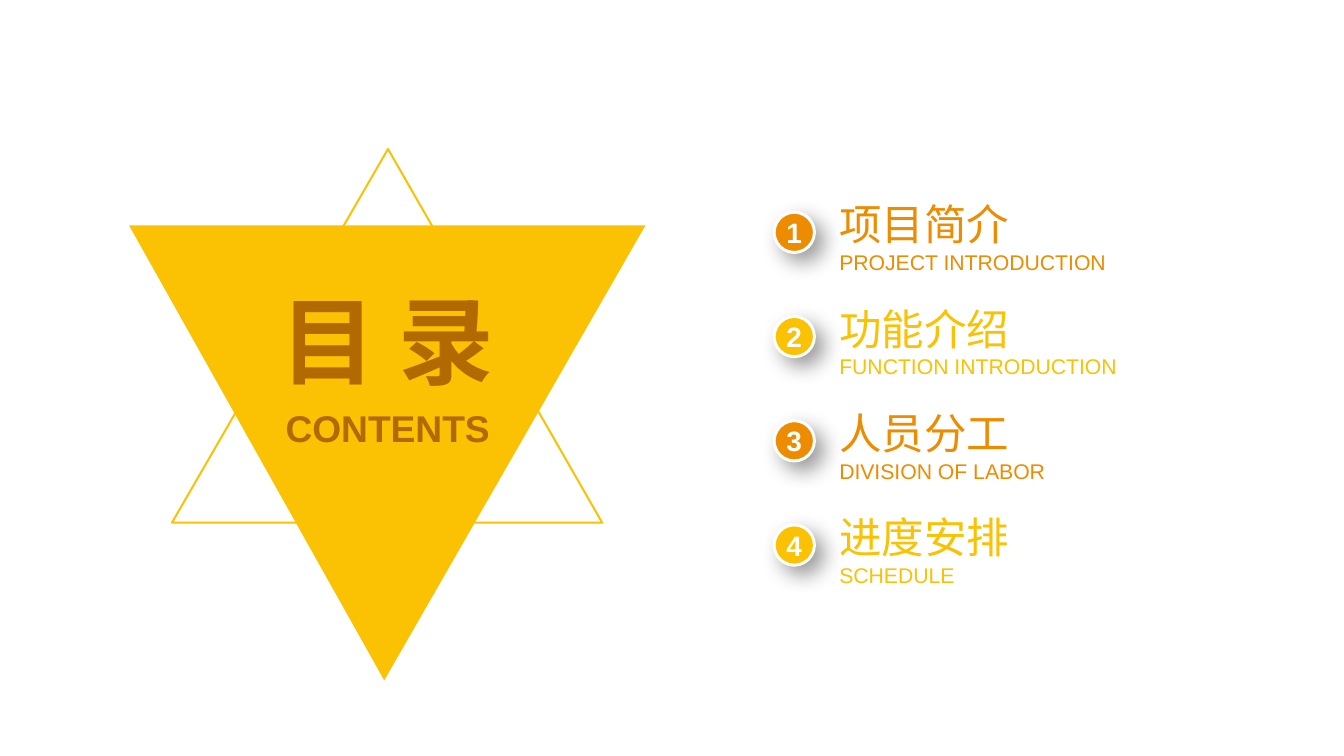
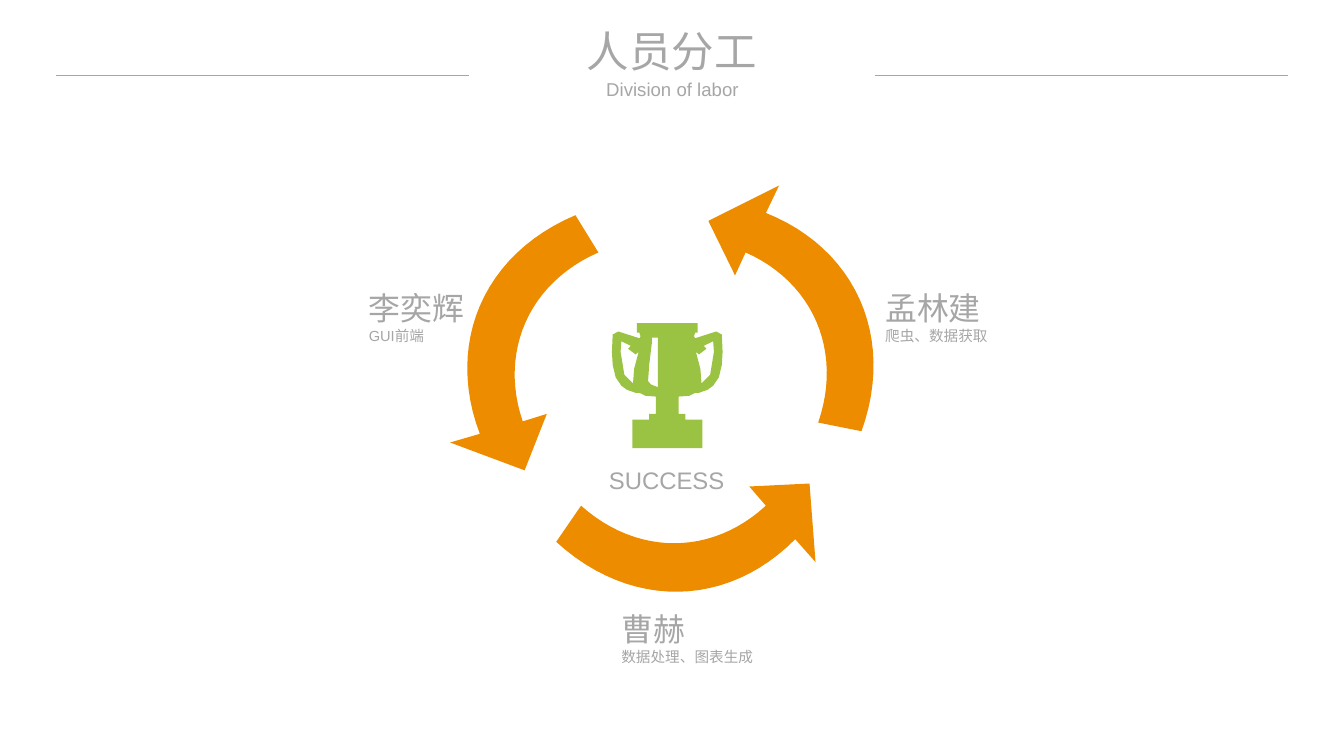
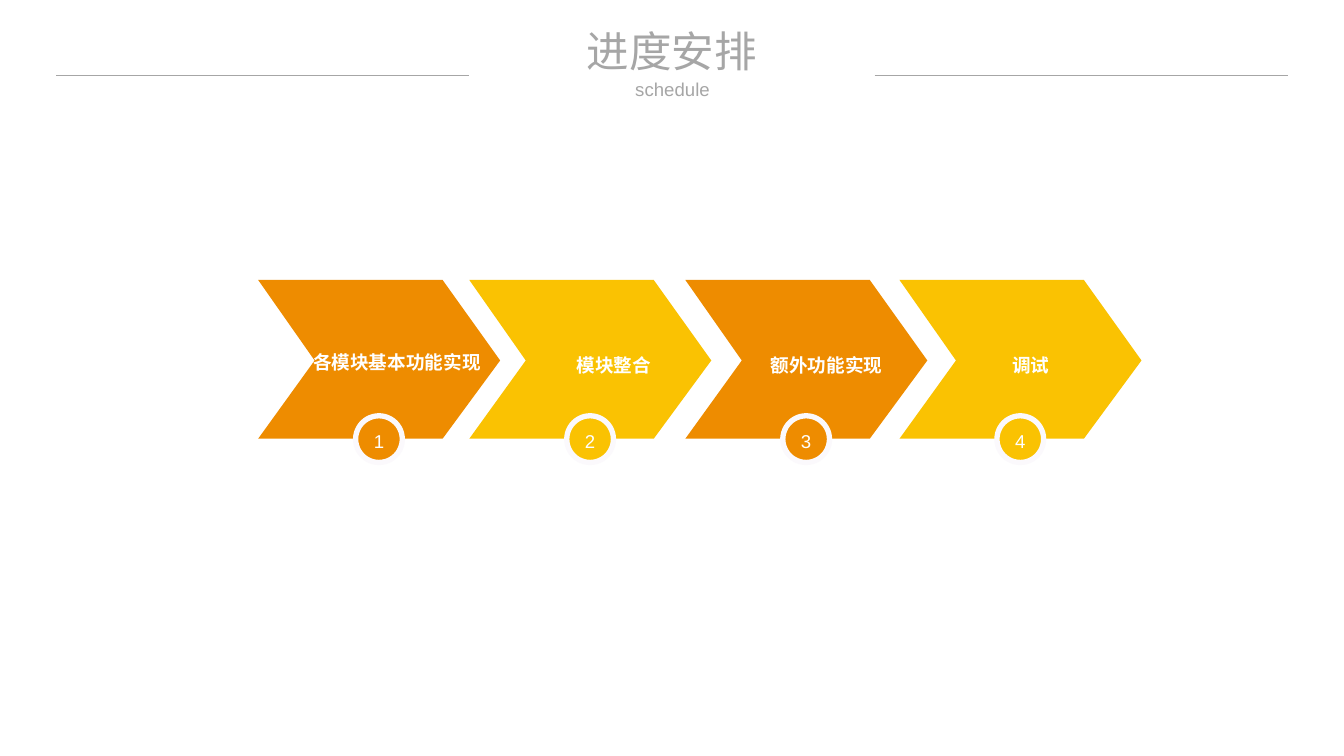
from lxml import etree
from pptx import Presentation
from pptx.dml.color import RGBColor
from pptx.enum.shapes import MSO_CONNECTOR as LINK, MSO_SHAPE as FORM
from pptx.enum.text import MSO_ANCHOR as ANCHOR, PP_ALIGN as ALIGN
from pptx.oxml.ns import qn
from pptx.util import Cm, Pt

hue = RGBColor.from_string
ORANGE, YELLOW, BROWN = "EE8C00", "FAC202", "B26900"
GREEN, GREY, WHITE, PALE = "9AC343", "A6A6A6", "FFFFFF", "FBF9FC"
TONES = [ORANGE, YELLOW] * 2


def write(slide, text, box=None, frame=None, sizes=(14,), color=GREY, bold=False,
          align=ALIGN.CENTER, anchor=ANCHOR.MIDDLE, pad=(0, 0), space=1.0):
    """Fill a given frame, or a new text box, with one size for each line."""
    if frame is None:
        frame = slide.shapes.add_textbox(*map(Cm, box)).text_frame
    frame.word_wrap = True
    frame.vertical_anchor = anchor
    frame.margin_left = frame.margin_right = Cm(pad[0])
    frame.margin_top = frame.margin_bottom = Cm(pad[1])
    for i, (line, size) in enumerate(zip(text.split("\n"), sizes)):
        para = frame.add_paragraph() if i else frame.paragraphs[0]
        para.alignment = align
        para.line_spacing = space
        run = para.add_run()
        run.text = line
        font = run.font
        font.name, font.size, font.bold = "Arial", Pt(size), bold
        font.color.rgb = hue(color)


def draw(slide, *rings, disc=None, fill=None, line=None, width=1):
    """Draw a disc (left, top, size), or an outline of closed rings of points."""
    if disc:
        x, y, size = map(Cm, disc)
        shape = slide.shapes.add_shape(FORM.OVAL, x, y, size, size)
    else:
        rings = [[(Cm(x), Cm(y)) for x, y in ring] for ring in rings]
        pen = slide.shapes.build_freeform(*rings[0][0])
        pen.add_line_segments(rings[0][1:])
        for ring in rings[1:]:
            pen.move_to(*ring[0])
            pen.add_line_segments(ring[1:])
        shape = pen.convert_to_shape()
    shape.shadow.inherit = False
    if fill:
        shape.fill.solid()
        shape.fill.fore_color.rgb = hue(fill)
    else:
        shape.fill.background()
    if line:
        shape.line.color.rgb = hue(line)
        shape.line.width = Pt(width)
    else:
        shape.line.fill.background()
    return shape


deck = Presentation()
deck.slide_width, deck.slide_height = Cm(35.71), Cm(20.09)
menu, team, plan = [deck.slides.add_slide(deck.slide_layouts[6]) for _ in range(3)]

# Shared header
for slide, title, sub in [(team, "人员分工", "Division of labor"),
                          (plan, "进度安排", "schedule")]:
    write(slide, title, (12.37, 0.66, 10.97, 1.37), sizes=[32])
    write(slide, sub, (13.97, 2.06, 7.8, 0.61))
    for left in (1.5, 23.24):
        rule = slide.shapes.add_connector(
            LINK.STRAIGHT, Cm(left), Cm(2), Cm(left + 10.97), Cm(2))
        rule.line.color.rgb = hue(GREY)
        rule.line.width = Pt(1)
        etree.SubElement(rule.element.spPr, qn("a:effectLst"))

# Contents
draw(menu, [(3.43, 5.99), (17.15, 5.99), (10.21, 18.08)], fill=YELLOW)
draw(menu, [(10.31, 3.96), (16, 13.89), (4.57, 13.89)], line=YELLOW, width=1.5)
write(menu, "目 录", (6.65, 7.49, 7.29, 3.07), sizes=[72], color=BROWN, bold=True)
write(menu, "CONTENTS", (7.06, 10.77, 6.48, 1.19), sizes=[28], color=BROWN,
      bold=True, anchor=ANCHOR.TOP)
parts = ["项目简介\nPROJECT INTRODUCTION", "功能介绍\nFUNCTION INTRODUCTION",
         "人员分工\nDIVISION OF LABOR", "进度安排\nSCHEDULE"]
for i, (part, tone) in enumerate(zip(parts, TONES)):
    drop = 2.77 * i
    dot = draw(menu, disc=(20.57, 5.64 + drop, 1.07), fill=tone, line=WHITE, width=2.25)
    write(menu, str(i + 1), frame=dot.text_frame, sizes=[21.1], color=WHITE, bold=True)
    glow = etree.SubElement(
        dot.element.spPr.find(qn("a:effectLst")), qn("a:outerShdw"),
        blurRad=str(Pt(16)), dist=str(Pt(9)), dir="2700000", algn="tl", rotWithShape="0")
    shade = etree.SubElement(glow, qn("a:srgbClr"), val="000000")
    etree.SubElement(shade, qn("a:alpha"), val="40000")
    write(menu, part, (22.3, 5.26 + drop, 8, 2.06), sizes=(32, 16), color=tone,
          align=ALIGN.LEFT)

# Division of labor: outer curve, inner curve, arrow head
arrows = [
    ([(20.35, 5.66), (22.71, 6.6), (23.8, 8.94), (22.89, 11.46)],
     [(21.74, 11.23), (22.4, 9.32), (21.59, 7.49), (19.81, 6.71)],
     [(19.53, 7.32), (18.82, 5.87), (20.7, 4.93)]),
    ([(12.75, 11.53), (11.84, 9.14), (12.83, 6.76), (15.29, 5.72)],
     [(15.9, 6.71), (14.05, 7.52), (13.26, 9.35), (13.89, 11.2)],
     [(14.53, 11), (13.94, 12.5), (11.96, 11.76)]),
    ([(21.13, 14.33), (19.33, 16.15), (16.76, 16.21), (14.78, 14.4)],
     [(15.44, 13.44), (16.94, 14.78), (18.92, 14.76), (20.35, 13.44)],
     [(19.91, 12.93), (21.51, 12.85), (21.67, 14.94)]),
]
STEPS = 24
for outer, inner, head in arrows:
    ring = []
    for curve in (outer, inner):
        for t in (n / STEPS for n in range(STEPS + 1)):
            u = 1 - t
            weights = (u ** 3, 3 * u * u * t, 3 * u * t * t, t ** 3)
            ring.append([sum(w * v for w, v in zip(weights, axis))
                         for axis in zip(*curve)])
    draw(team, ring + head, fill=ORANGE)

# Trophy: right half, handle hole and shine, measured from the middle line
MID = 17.73
half = [(0.81, 8.59), (0.81, 8.84), (0.74, 8.84), (0.71, 8.94), (0.74, 8.99),
        (1.3, 8.81), (1.45, 8.89), (1.47, 9.35), (1.45, 9.7), (1.37, 10.03),
        (1.22, 10.25), (1.07, 10.36), (0.84, 10.44), (0.74, 10.44), (0.58, 10.52),
        (0.3, 10.54), (0.3, 11), (0.48, 11), (0.48, 11.15), (0.93, 11.15),
        (0.93, 11.91)]
hole = [(0.91, 10.19), (0.88, 9.8), (0.76, 9.35), (0.84, 9.42), (1.04, 9.27),
        (0.97, 9.19), (1.22, 9.07), (1.24, 9.35), (1.14, 9.96)]
shine = [(-0.25, 8.97), (-0.25, 10.29), (-0.43, 10.22), (-0.51, 10.13),
         (-0.48, 9.7), (-0.41, 9.12), (-0.41, 8.97)]
cup = half + [(-x, y) for x, y in reversed(half)]
rings = [cup, hole, [(-x, y) for x, y in hole], shine]
draw(team, *[[(MID + x, y) for x, y in ring] for ring in rings], fill=GREEN)

label = dict(align=ALIGN.LEFT, anchor=ANCHOR.TOP, pad=(0.25, 0.13), space=1.2)
write(team, "SUCCESS", (15.93, 12.09, 3.8, 1.09), sizes=[18], **label)
for name, task, x, y in [("李奕辉", "GUI前端", 9.55, 7.34),
                         ("曹赫", "数据处理、图表生成", 16.26, 15.88),
                         ("孟林建", "爬虫、数据获取", 23.27, 7.34)]:
    write(team, name, (x, y, 6.7, 1.37), sizes=[24], **label)
    write(team, task, (x, y + 1.12, 6.7, 0.76), sizes=[11], **label)

# Schedule: chevron left, then left and top of its text
stages = [("各模块基本功能实现", 6.86, 8.25, 9.25), ("模块整合", 12.47, 14.01, 9.32),
          ("额外功能实现", 18.21, 19.66, 9.32), ("调试", 23.9, 25.09, 9.32)]
edge = [(0, 7.44), (1.5, 9.58), (0, 11.66), (4.9, 11.66), (6.43, 9.58), (4.9, 7.44)]
for i, ((stage, left, x, y), tone) in enumerate(zip(stages, TONES), 1):
    draw(plan, [(left + dx, dy) for dx, dy in edge], fill=tone)
    write(plan, stage, (x, y, 4.6, 0.65), color=WHITE, bold=True, space=1.2)
    dot = draw(plan, disc=(left + 2.59, 11.05, 1.24), fill=tone, line=PALE, width=4)
    write(plan, str(i), frame=dot.text_frame, color=WHITE, space=1.2)

deck.save("out.pptx")
